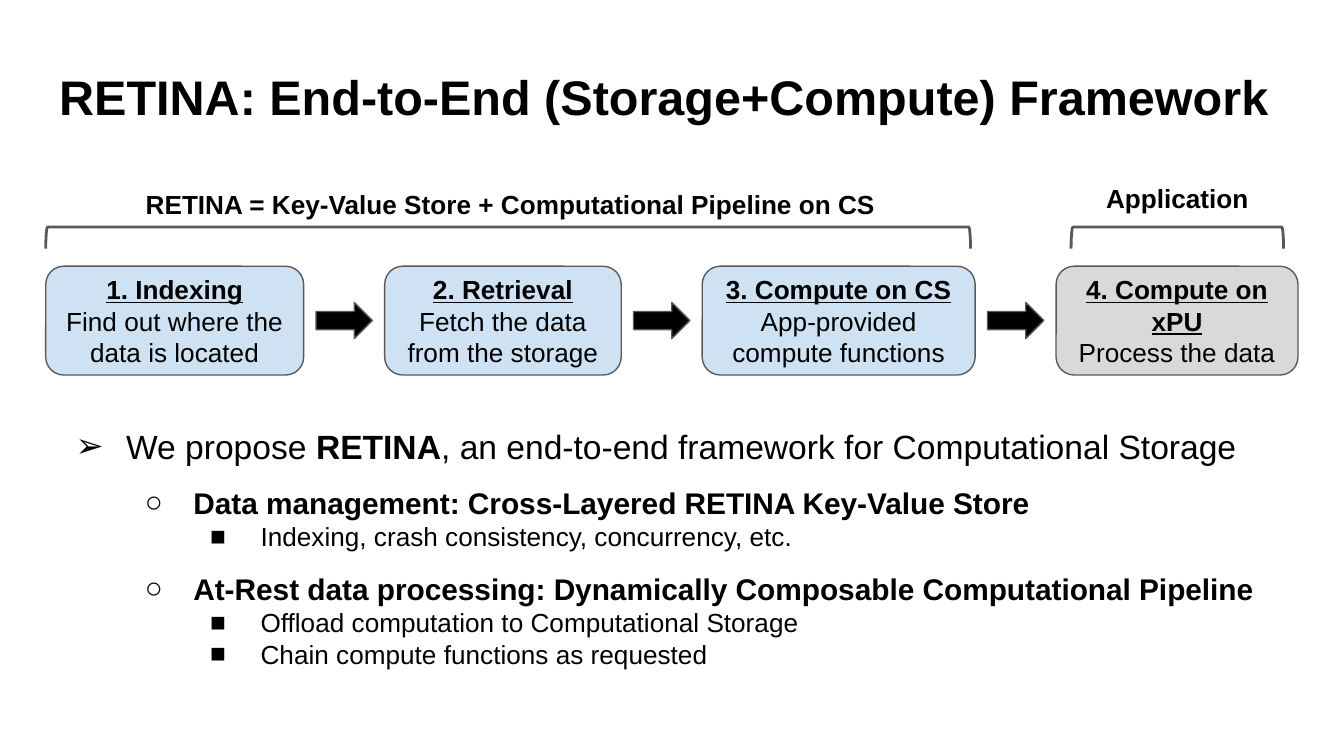
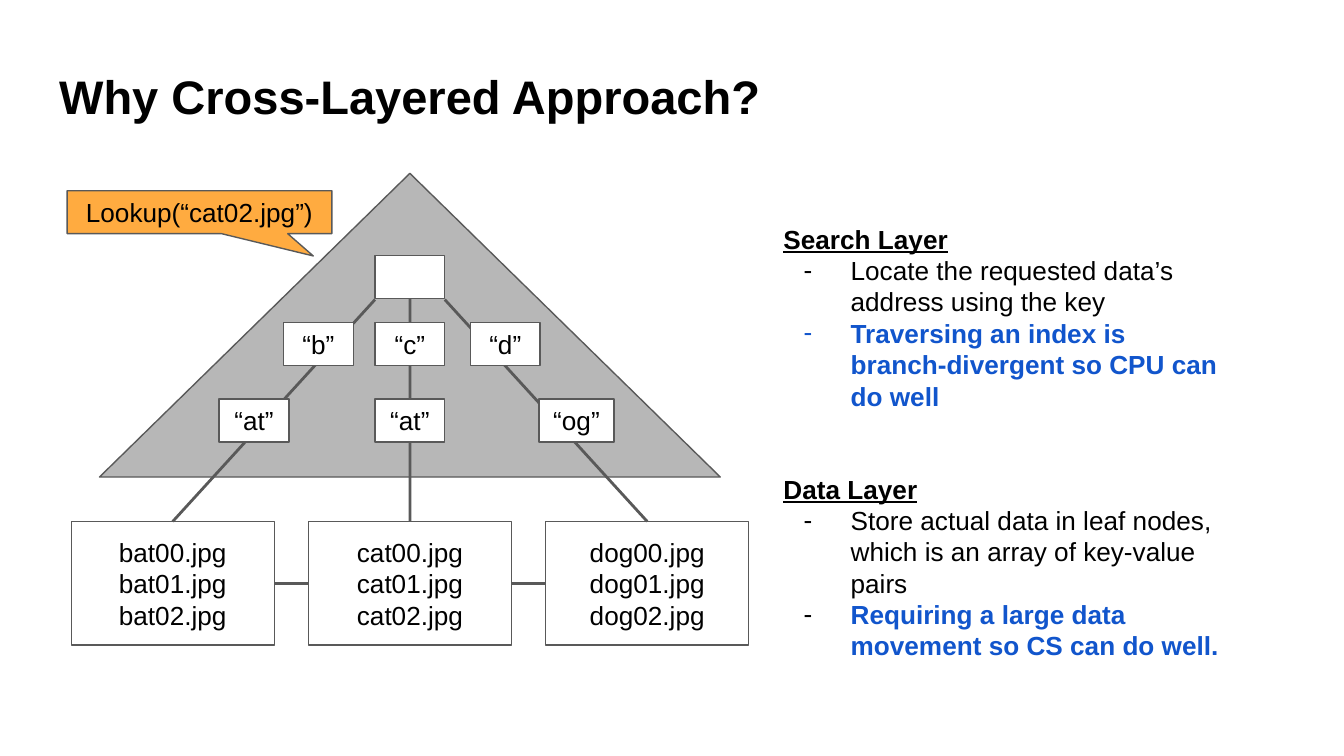
import dataclasses

import pptx
import pptx.dml.color
import pptx.enum.shapes
import pptx.enum.text
import pptx.oxml.ns
import pptx.util
from lxml import etree

Pt = pptx.util.Pt
RGB = pptx.dml.color.RGBColor.from_string
KIND = pptx.enum.shapes.MSO_SHAPE
ALIGN = pptx.enum.text.PP_ALIGN
ANCHOR = pptx.enum.text.MSO_ANCHOR
qn = pptx.oxml.ns.qn


@dataclasses.dataclass(frozen=True)
class Theme:
    font: str = "Arial"
    ink: str = "000000"
    edge: str = "595959"
    white: str = "FFFFFF"
    blue: str = "CFE2F3"
    gray: str = "D9D9D9"
    dark: str = "B7B7B7"
    amber: str = "FFAB40"
    link: str = "1155CC"
    head: float = 26
    lead: float = 18
    sub: float = 16
    body: float = 14
    thin: float = 0.75
    thick: float = 1.5
    inset: float = 7.2


THEME = Theme()


def mark(para, char, left, hang, color):
    """Give a paragraph a hanging bullet."""
    props = para._p.get_or_add_pPr()
    props.set("marL", str(Pt(left)))
    props.set("indent", str(-Pt(hang)))
    tint = etree.SubElement(props, qn("a:buClr"))
    etree.SubElement(tint, qn("a:srgbClr"), val=color)
    etree.SubElement(props, qn("a:buFont"), typeface=THEME.font)
    etree.SubElement(props, qn("a:buChar"), char=char)


def write(frame, text, size=THEME.body, bold=False, under=False,
          color=THEME.ink, align=ALIGN.LEFT, level=0, before=0,
          char=None, left=36, hang=25.2, tint=THEME.ink):
    """Add one paragraph; parts between asterisks swap their weight."""
    para = frame.paragraphs[0] if not frame.text else frame.add_paragraph()
    para.alignment = align
    para.level = level
    para.space_before = Pt(before)
    if char:
        mark(para, char, left, hang, tint)
    for i, part in enumerate(text.split("*")):
        run = para.add_run()
        run.text = part
        font = run.font
        font.name, font.size = THEME.font, Pt(size)
        font.bold = bold != (i % 2 == 1)
        font.underline = under
        font.color.rgb = RGB(color)


def setup(frame, anchor=ANCHOR.TOP):
    frame.word_wrap = True
    frame.auto_size = pptx.enum.text.MSO_AUTO_SIZE.NONE
    frame.vertical_anchor = anchor
    frame.margin_left = frame.margin_right = Pt(THEME.inset)
    frame.margin_top = frame.margin_bottom = Pt(THEME.inset)
    return frame


def label(slide, x, y, w, h):
    return setup(slide.shapes.add_textbox(Pt(x), Pt(y), Pt(w), Pt(h)).text_frame)


def shape(slide, kind, x, y, w, h, fill=None, line=THEME.thin, lines=(), first=None):
    """Draw a preset shape with centred lines; first formats the top line."""
    item = slide.shapes.add_shape(kind, Pt(x), Pt(y), Pt(w), Pt(h))
    item.shadow.inherit = False
    if fill:
        item.fill.solid()
        item.fill.fore_color.rgb = RGB(fill)
    else:
        item.fill.background()
    item.line.color.rgb = RGB(THEME.edge)
    item.line.width = Pt(line)
    frame = setup(item.text_frame, ANCHOR.MIDDLE)
    for i, text in enumerate(lines):
        write(frame, text, align=ALIGN.CENTER, **(first or {} if i == 0 else {}))
    return item


def brace(slide, x, y, w, h=11.5):
    """Lay a square bracket, open below, over the given box."""
    item = shape(slide, KIND.LEFT_BRACKET, x + (w - h) / 2, y + (h - w) / 2,
                 h, w, line=THEME.thick)
    item.rotation = 90


def link(slide, x1, y1, x2, y2):
    wire = slide.shapes.add_connector(pptx.enum.shapes.MSO_CONNECTOR.STRAIGHT,
                                      Pt(x1), Pt(y1), Pt(x2), Pt(y2))
    wire.line.color.rgb = RGB(THEME.edge)
    wire.line.width = Pt(THEME.thick)
    etree.SubElement(wire._element.spPr, qn("a:effectLst"))
    return wire


def join(slide, start, side, end, goal):
    wire = link(slide, 0, 0, 0, 0)
    wire.begin_connect(start, side)
    wire.end_connect(end, goal)


def page(deck, title, size=THEME.head):
    slide = deck.slides.add_slide(deck.slide_layouts[5])
    head = slide.shapes.title
    head.left, head.top, head.width, head.height = map(Pt, (24.5, 28.8, 671, 45.4))
    write(setup(head.text_frame), title, size=size, bold=True)
    return slide


def flow(slide):
    """Draw the four steps with an arrow in each gap."""
    steps = [
        (138.2, THEME.blue, ["1. Indexing", "Find out where the", "data is located"]),
        (126.7, THEME.blue, ["2. Retrieval", "Fetch the data", "from the storage"]),
        (146.2, THEME.blue, ["3. Compute on CS", "App-provided", "compute functions"]),
        (129.6, THEME.gray, ["4. Compute on xPU", "Process the data"]),
    ]
    x, y, h, gap = 24.5, 142.6, 58.3, 43.4
    wide, tall = 30.2, 19.4
    for i, (w, fill, lines) in enumerate(steps):
        if i:
            shape(slide, KIND.RIGHT_ARROW, x - (gap + wide) / 2,
                  y + (h - tall) / 2, wide, tall, THEME.ink)
        shape(slide, KIND.ROUNDED_RECTANGLE, x, y, w, h, fill, lines=lines,
              first={"bold": True, "under": True})
        x += w + gap


def frame_page(deck):
    slide = page(deck, "RETINA: End-to-End (Storage+Compute) Framework")
    flow(slide)
    brace(slide, 24.5, 121.7, 495.4)
    brace(slide, 573.8, 121.7, 113.8)
    write(label(slide, 24.5, 93.6, 498.2, 31.7),
          "RETINA = Key-Value Store + Computational Pipeline on CS",
          bold=True, align=ALIGN.CENTER)
    write(label(slide, 560.2, 90.7, 141.1, 31.7), "Application",
          bold=True, align=ALIGN.CENTER)

    top = {"size": THEME.lead, "char": "➢", "left": 36, "hang": 27}
    mid = {"size": THEME.sub, "char": "○", "left": 72, "hang": 26,
           "level": 1, "before": 10, "bold": True}
    low = {"char": "■", "left": 108, "hang": 27, "level": 2}
    body = label(slide, 24.5, 221, 663.1, 160.6)
    for text, form in [
        ("We propose *RETINA*, an end-to-end framework for Computational Storage", top),
        ("Data management: Cross-Layered RETINA Key-Value Store", mid),
        ("Indexing, crash consistency, concurrency, etc.", low),
        ("At-Rest data processing: Dynamically Composable Computational Pipeline", mid),
        ("Offload computation to Computational Storage", low),
        ("Chain compute functions as requested", low),
    ]:
        write(body, text, **form)


def tree(slide):
    """Draw the index triangle, its nodes and the linked leaves."""
    shape(slide, KIND.ISOSCELES_TRIANGLE, 53.3, 92.9, 332.6, 162.7, THEME.dark)
    leaves = [shape(slide, KIND.RECTANGLE, 38.2 + 127.1 * i, 279.4, 108.7, 66.2,
                    THEME.white, lines=[f"{name}0{n}.jpg" for n in range(3)])
              for i, name in enumerate(("bat", "cat", "dog"))]
    wide, tall = 37.4, 23
    mid = 219.6
    root = shape(slide, KIND.RECTANGLE, mid - wide / 2, 136.8, wide, tall, THEME.white)
    join(slide, root, 2, leaves[1], 0)
    for side, leaf in ((-1, leaves[0]), (1, leaves[2])):
        link(slide, mid + side * wide / 2, 160.5, 0, 0).end_connect(leaf, 0)
    for left, right in zip(leaves, leaves[1:]):
        join(slide, left, 3, right, 1)
    for y, nodes in (
        (172.8, [("b", 151.9, wide), ("c", 200.9, wide), ("d", 252, wide)]),
        (213.8, [("at", 117.4, wide), ("at", 200.9, wide), ("og", 288.7, 40.3)]),
    ):
        for key, x, w in nodes:
            shape(slide, KIND.RECTANGLE, x, y, w, tall, THEME.white, lines=[f"“{key}”"])


def cross_page(deck):
    slide = page(deck, "Why Cross-Layered Approach?", 25.2)
    tree(slide)
    call = shape(slide, KIND.ROUNDED_RECTANGULAR_CALLOUT, 36, 102.2, 141.8, 23,
                 THEME.amber, lines=["Lookup(“cat02.jpg”)"])
    for i, value in enumerate((0.43, 1.02, 0)):
        call.adjustments[i] = value

    head = {"bold": True, "under": True}
    dash = {"char": "-"}
    key = {"char": "-", "bold": True, "color": THEME.link}
    body = label(slide, 412.6, 112.3, 252.7, 269.3)
    for text, form in [
        ("Search Layer", head),
        ("Locate the requested data’s address using the key", dash),
        ("Traversing an index is branch-divergent so CPU can do well",
         {**key, "tint": THEME.link}),
        ("Data Layer", {**head, "before": 33}),
        ("Store actual data in leaf nodes, which is an array of key-value pairs", dash),
        ("Requiring a large data movement so CS can do well.", key),
    ]:
        write(body, text, **form)


def main():
    deck = pptx.Presentation()
    deck.slide_width, deck.slide_height = Pt(720), Pt(405)
    frame_page(deck)
    cross_page(deck)
    deck.save("out.pptx")


if __name__ == "__main__":
    main()
